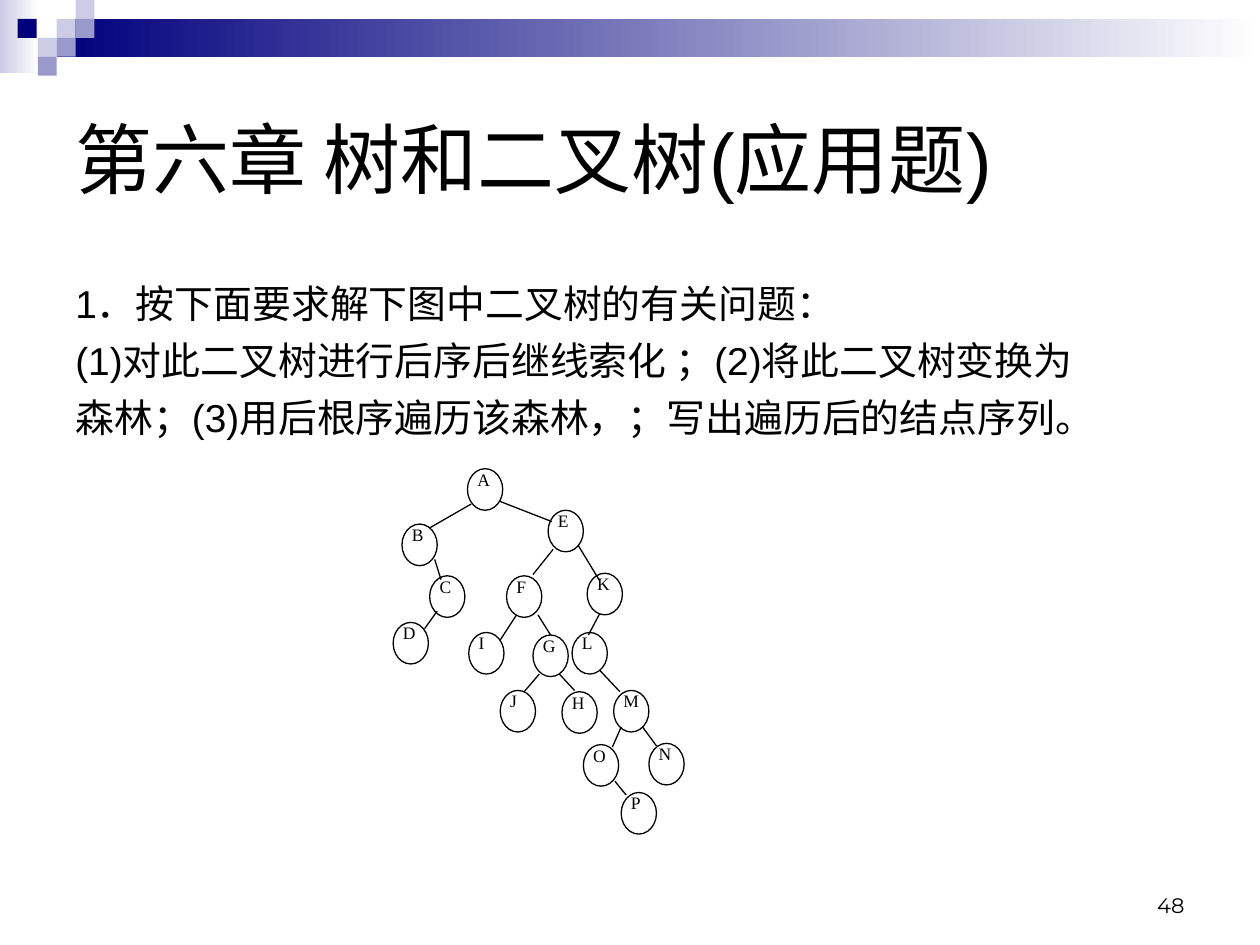
from typing import NamedTuple

from lxml import etree
from pptx import Presentation
from pptx import util as u
from pptx.dml.color import RGBColor
from pptx.enum import shapes, text
from pptx.oxml.ns import qn

BLACK, WHITE = "000000", "FFFFFF"
NAVY, LILAC, VIOLET = "00007D", "CCCCE6", "9999CC"
SQUARE = 0.15
NODE_WIDTH, NODE_HEIGHT = 0.28, 0.33


class Block(NamedTuple):
    left: float
    top: float
    width: float
    height: float
    colours: tuple[str, ...]


class Node(NamedTuple):
    label: str
    left: float
    top: float


class Edge(NamedTuple):
    x1: float
    y1: float
    x2: float
    y2: float


def colour(value: str) -> RGBColor:
    return RGBColor.from_string(value)


def add_block(page, block: Block) -> None:
    """Draw a plain rectangle, with a left-to-right fade if it has two colours."""
    shape = page.shapes.add_shape(
        shapes.MSO_SHAPE.RECTANGLE, *(u.Inches(value) for value in block[:4]))
    shape.shadow.inherit = False
    shape.line.fill.background()
    if len(block.colours) == 1:
        shape.fill.solid()
        shape.fill.fore_color.rgb = colour(block.colours[0])
        return
    shape.fill.gradient()
    shape.fill.gradient_angle = 0
    for stop, value in zip(shape.fill.gradient_stops, block.colours):
        stop.color.rgb = colour(value)


def add_text(page, words: str, left: float, top: float, width: float, height: float, *,
             size: float, font: str = "Arial", align=text.PP_ALIGN.LEFT,
             anchor=text.MSO_ANCHOR.TOP, gap: float = 0, hanging: float = 0) -> None:
    """Write one paragraph for each line of words."""
    box = page.shapes.add_textbox(*(u.Inches(v) for v in (left, top, width, height)))
    frame = box.text_frame
    frame.word_wrap = True
    frame.vertical_anchor = anchor
    for number, line in enumerate(words.split("\n")):
        para = frame.add_paragraph() if number else frame.paragraphs[0]
        para.alignment = align
        if number:
            para.space_before = u.Pt(gap)
        if hanging:
            properties = para._p.get_or_add_pPr()
            properties.set("marL", str(u.Inches(hanging)))
            properties.set("indent", str(-u.Inches(hanging)))
        span = para.add_run()
        span.text = line
        span.font.size = u.Pt(size)
        span.font.name = font
        span.font.color.rgb = colour(BLACK)


def add_node(page, node: Node) -> None:
    circle = page.shapes.add_shape(
        shapes.MSO_SHAPE.OVAL, u.Inches(node.left), u.Inches(node.top),
        u.Inches(NODE_WIDTH), u.Inches(NODE_HEIGHT))
    circle.shadow.inherit = False
    circle.fill.solid()
    circle.fill.fore_color.rgb = colour(WHITE)
    circle.line.color.rgb = colour(BLACK)
    circle.line.width = u.Pt(0.75)
    add_text(page, node.label, node.left - 0.02, node.top - 0.05, 0.57, 0.66,
             size=10, font="Times New Roman", align=text.PP_ALIGN.JUSTIFY)


def add_edge(page, edge: Edge) -> None:
    line = page.shapes.add_connector(
        shapes.MSO_CONNECTOR.STRAIGHT, *(u.Inches(value) for value in edge))
    line.line.color.rgb = colour(BLACK)
    line.line.width = u.Pt(0.75)
    etree.SubElement(line._element.spPr, qn("a:effectLst"))


BANNER = [
    Block(0, 0, 0.31, 0.58, (LILAC, WHITE)),
    Block(0.45, 0.15, 9.55, 0.3, (NAVY, WHITE)),
] + [
    Block(left, top, SQUARE, SQUARE, (value,))
    for left, top, value in [
        (0.45, 0.15, LILAC), (0.6, 0, LILAC), (0.6, 0.15, VIOLET), (0.3, 0.3, LILAC),
        (0.14, 0.15, NAVY), (0.45, 0.3, VIOLET), (0.3, 0.45, VIOLET)]
]

NODES = [
    Node("L", 4.54, 5.02), Node("J", 3.97, 5.48), Node("G", 4.23, 5.04),
    Node("I", 3.72, 5.02), Node("A", 3.71, 3.72), Node("B", 3.19, 4.16),
    Node("E", 4.35, 4.05), Node("F", 4.02, 4.57), Node("K", 4.66, 4.55),
    Node("C", 3.41, 4.57), Node("D", 3.12, 4.94), Node("H", 4.46, 5.49),
    Node("M", 4.87, 5.48), Node("O", 4.63, 5.91), Node("N", 5.15, 5.9),
    Node("P", 4.93, 6.29),
]

EDGES = [
    Edge(3.74, 4, 3.41, 4.19),  # A-B
    Edge(3.97, 3.98, 4.38, 4.14),  # A-E
    Edge(3.45, 4.44, 3.5, 4.6),  # B-C
    Edge(3.47, 4.85, 3.37, 4.99),  # C-D
    Edge(4.39, 4.36, 4.23, 4.56),  # E-F
    Edge(4.59, 4.33, 4.76, 4.61),  # E-K
    Edge(4.1, 4.88, 3.97, 5.08),  # F-I
    Edge(4.27, 4.88, 4.37, 5.04),  # F-G
    Edge(4.28, 5.35, 4.16, 5.49),  # G-J
    Edge(4.44, 5.35, 4.56, 5.48),  # G-H
    Edge(4.76, 4.87, 4.67, 5.04),  # K-L
    Edge(4.76, 5.32, 4.92, 5.49),  # L-M
    Edge(4.93, 5.77, 4.86, 5.93),  # M-O
    Edge(5.1, 5.77, 5.21, 5.92),  # M-N
    Edge(4.88, 6.2, 4.97, 6.31),  # O-P
]

QUESTION = """1．按下面要求解下图中二叉树的有关问题：
(1)对此二叉树进行后序后继线索化 ；(2)将此二叉树变换为
森林；(3)用后根序遍历该森林，；写出遍历后的结点序列。"""


def main() -> None:
    deck = Presentation()
    deck.slide_width, deck.slide_height = u.Inches(10), u.Inches(7.5)
    page = deck.slides.add_slide(deck.slide_layouts[6])

    # Banner
    for block in BANNER:
        add_block(page, block)

    # Page number, title and question
    add_text(page, "48", 7.17, 6.83, 2.33, 0.5, size=12, font="Montserrat",
             align=text.PP_ALIGN.RIGHT, anchor=text.MSO_ANCHOR.BOTTOM)
    add_text(page, "第六章 树和二叉树(应用题)", 0.5, 0.5, 9, 1.5, size=44,
             anchor=text.MSO_ANCHOR.MIDDLE)
    add_text(page, QUESTION, 0.5, 2.17, 9, 1.51, size=22.2, gap=6, hanging=0.38)

    # Binary tree
    for node in NODES:
        add_node(page, node)
    for edge in EDGES:
        add_edge(page, edge)

    deck.save("out.pptx")


if __name__ == "__main__":
    main()
